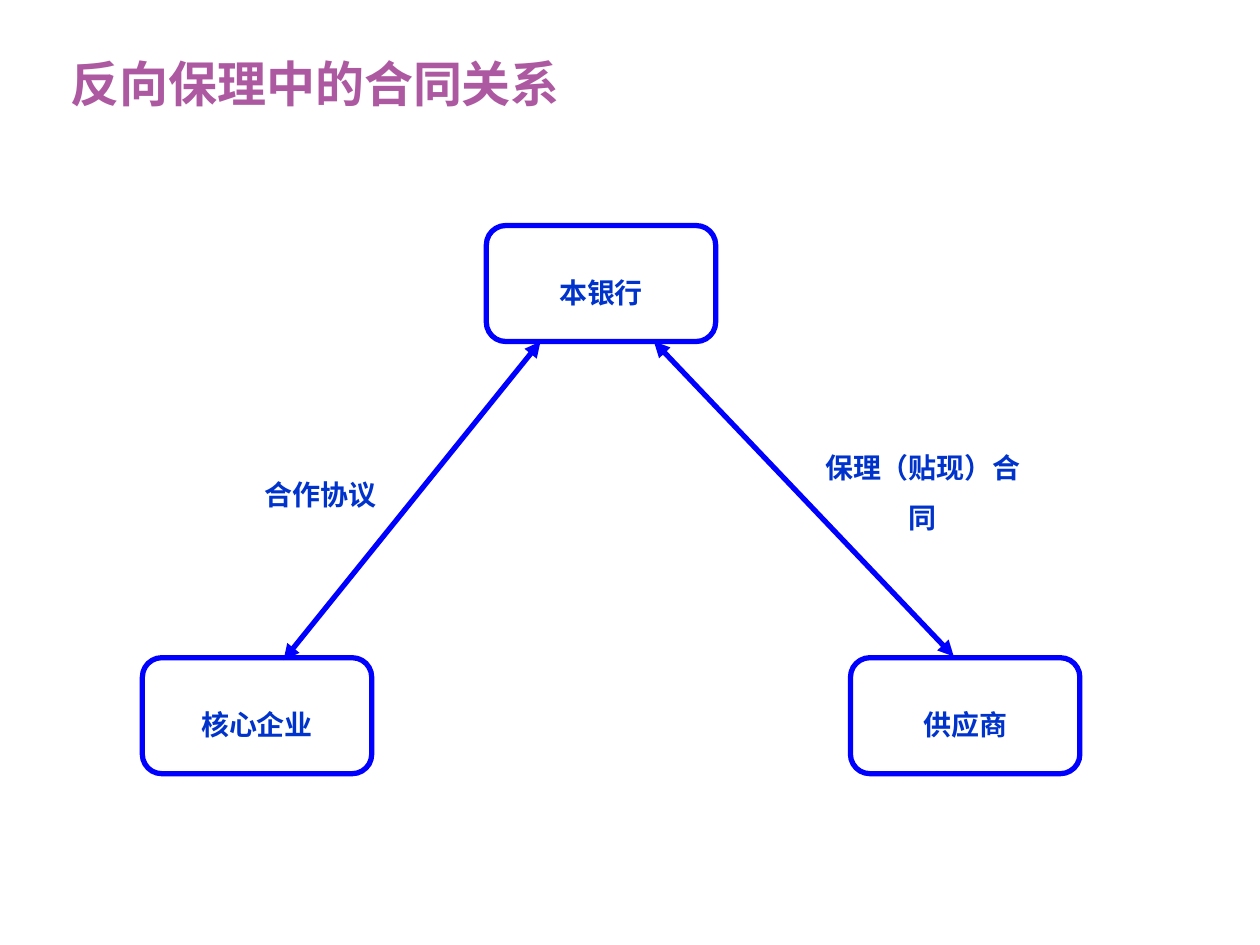
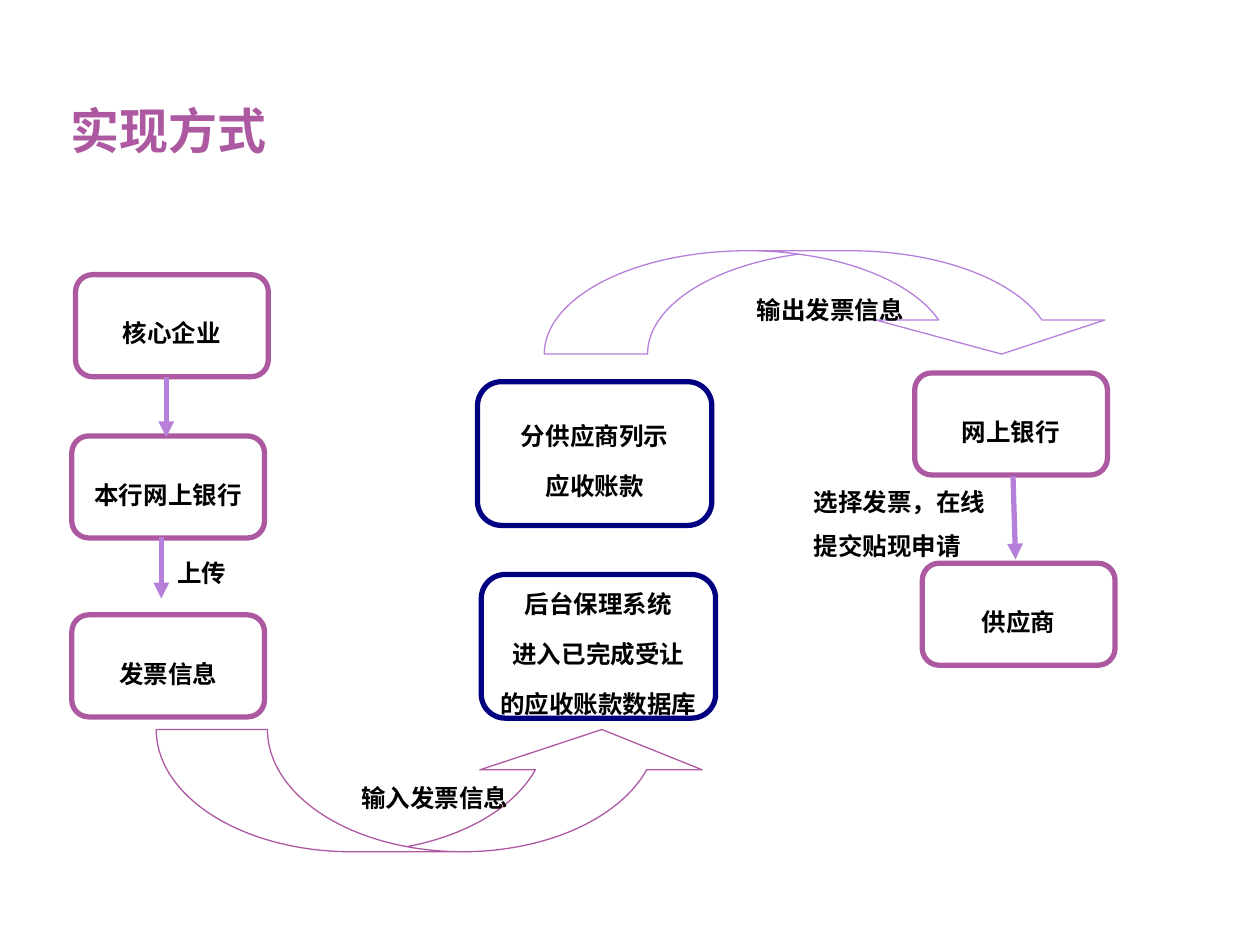
from dataclasses import dataclass
from typing import Optional

from lxml import etree
from pptx import Presentation
from pptx import util as u
from pptx.dml.color import RGBColor
from pptx.enum import shapes, text
from pptx.oxml.ns import qn

PX = 9144


@dataclass(frozen=True)
class Theme:
    plum: str = "AD59A1"
    lilac: str = "B680DA"
    blue: str = "0000FF"
    royal: str = "0033CC"
    navy: str = "000080"
    black: str = "000000"
    white: str = "FFFFFF"
    head: str = "Montserrat"
    body: str = "Arial"
    title: int = 28
    large: int = 16
    small: int = 14
    thick: float = 3
    thin: float = 0.75


T = Theme()


@dataclass(frozen=True)
class Style:
    size: int
    ink: str
    gap: float = 0


DEAL = Style(T.large, T.royal, 4)
FLOW = Style(T.small, T.black, 3.5)


@dataclass(frozen=True)
class Rect:
    x: int
    y: int
    w: int
    h: int

    def emu(self) -> list:
        return [px(n) for n in (self.x, self.y, self.w, self.h)]


@dataclass(frozen=True)
class Node:
    rect: Rect
    lines: tuple
    edge: str
    style: Style
    fill: Optional[str] = None


@dataclass(frozen=True)
class Label:
    rect: Rect
    words: str
    style: Style
    align: text.PP_ALIGN = text.PP_ALIGN.LEFT


@dataclass(frozen=True)
class Arrow:
    start: tuple
    end: tuple
    ink: str
    ends: tuple = ("tailEnd",)


@dataclass(frozen=True)
class Bend:
    kind: shapes.MSO_SHAPE
    rect: Rect
    words: str
    ink: str
    adjust: tuple


def px(n: int) -> u.Emu:
    return u.Emu(n * PX)


def rgb(ink: str) -> RGBColor:
    return RGBColor.from_string(ink)


def write(frame, lines: tuple, style: Style, align, font: str = T.body,
          pitch: float = 1.5) -> None:
    for i, words in enumerate(lines):
        para = frame.add_paragraph() if i else frame.paragraphs[0]
        para.alignment = align
        para.line_spacing = pitch
        para.space_before = u.Pt(style.gap if i else 0)
        run = para.add_run()
        run.text = words
        run.font.name = font
        run.font.size = u.Pt(style.size)
        run.font.bold = True
        run.font.color.rgb = rgb(style.ink)


def add_page(deck, words: str, rect: Rect):
    page = deck.slides.add_slide(deck.slide_layouts[5])
    title = page.shapes.title
    title.left, title.top, title.width, title.height = rect.emu()
    frame = title.text_frame
    frame.auto_size = text.MSO_AUTO_SIZE.NONE
    frame.vertical_anchor = text.MSO_ANCHOR.BOTTOM
    write(frame, (words,), Style(T.title, T.plum), text.PP_ALIGN.LEFT,
          T.head, 0.9)
    return page


def add_form(page, kind, rect: Rect, edge: str, width: float,
             lines: tuple, style: Style, fill: Optional[str] = None):
    form = page.shapes.add_shape(kind, *rect.emu())
    form.shadow.inherit = False
    if fill:
        form.fill.solid()
        form.fill.fore_color.rgb = rgb(fill)
    else:
        form.fill.background()
    form.line.color.rgb = rgb(edge)
    form.line.width = u.Pt(width)
    frame = form.text_frame
    frame.word_wrap = False
    frame.vertical_anchor = text.MSO_ANCHOR.MIDDLE
    write(frame, lines, style, text.PP_ALIGN.CENTER)
    return form


def add_node(page, node: Node) -> None:
    add_form(page, shapes.MSO_SHAPE.ROUNDED_RECTANGLE, node.rect, node.edge,
             T.thick, node.lines, node.style, node.fill)


def add_bend(page, bend: Bend) -> None:
    form = add_form(page, bend.kind, bend.rect, bend.ink, T.thin,
                    (bend.words,), FLOW)
    for i, ratio in enumerate(bend.adjust):
        form.adjustments[i] = ratio


def add_label(page, label: Label) -> None:
    box = page.shapes.add_textbox(*label.rect.emu())
    frame = box.text_frame
    frame.word_wrap = True
    frame.auto_size = text.MSO_AUTO_SIZE.SHAPE_TO_FIT_TEXT
    write(frame, (label.words,), label.style, label.align)


def add_arrow(page, arrow: Arrow) -> None:
    ends = [px(n) for n in arrow.start + arrow.end]
    link = page.shapes.add_connector(shapes.MSO_CONNECTOR.STRAIGHT, *ends)
    link.line.color.rgb = rgb(arrow.ink)
    link.line.width = u.Pt(T.thick)
    line = link.line._get_or_add_ln()
    for end in arrow.ends:
        etree.SubElement(line, qn(f"a:{end}"), type="triangle")
    etree.SubElement(link._element.spPr, qn("a:effectLst"))


def draw_deals(deck) -> None:
    page = add_page(deck, "反向保理中的合同关系", Rect(46, 18, 907, 77))
    for x, y, name in ((386, 179, "本银行"), (113, 522, "核心企业"),
                       (675, 522, "供应商")):
        add_node(page, Node(Rect(x, y, 182, 92), (name,), T.blue, DEAL))
    both = ("headEnd", "tailEnd")
    add_arrow(page, Arrow((429, 271), (225, 524), T.blue, both))
    add_arrow(page, Arrow((519, 271), (757, 521), T.blue, both))
    for x, y, h, words in ((160, 361, 50, "合作协议"),
                           (638, 339, 90, "保理（贴现）合同")):
        add_label(page, Label(Rect(x, y, 189, h), words, DEAL,
                              text.PP_ALIGN.CENTER))


def draw_flow(deck) -> None:
    page = add_page(deck, "实现方式", Rect(46, 70, 930, 62))
    for x, y, name in ((60, 218, "核心企业"), (57, 346, "本行网上银行"),
                       (57, 488, "发票信息"), (726, 296, "网上银行"),
                       (732, 447, "供应商")):
        add_node(page, Node(Rect(x, y, 153, 81), (name,), T.plum, FLOW))
    for x, y, lines in (
        (382, 456, ("后台保理系统", "进入已完成受让", "的应收账款数据库")),
        (379, 303, ("分供应商列示", "应收账款")),
    ):
        add_node(page, Node(Rect(x, y, 186, 114), lines, T.navy, FLOW,
                            T.white))
    for start, end in (((132, 299), (132, 347)), ((128, 426), (128, 475)),
                       ((804, 378), (806, 444))):
        add_arrow(page, Arrow(start, end, T.lilac))
    add_bend(page, Bend(shapes.MSO_SHAPE.CURVED_UP_ARROW,
                        Rect(124, 579, 442, 97), "输入发票信息", T.plum,
                        (0.91, 1.82, 0.33)))
    add_bend(page, Bend(shapes.MSO_SHAPE.CURVED_DOWN_ARROW,
                        Rect(432, 199, 454, 82), "输出发票信息", T.lilac,
                        (1.11, 2.22, 0.33)))
    add_label(page, Label(Rect(131, 426, 79, 45), "上传", FLOW))
    add_label(page, Label(Rect(636, 370, 157, 80),
                          "选择发票，在线提交贴现申请", FLOW))


def main() -> None:
    deck = Presentation()
    deck.slide_width, deck.slide_height = px(1000), px(750)
    draw_deals(deck)
    draw_flow(deck)
    deck.save("out.pptx")


if __name__ == "__main__":
    main()
